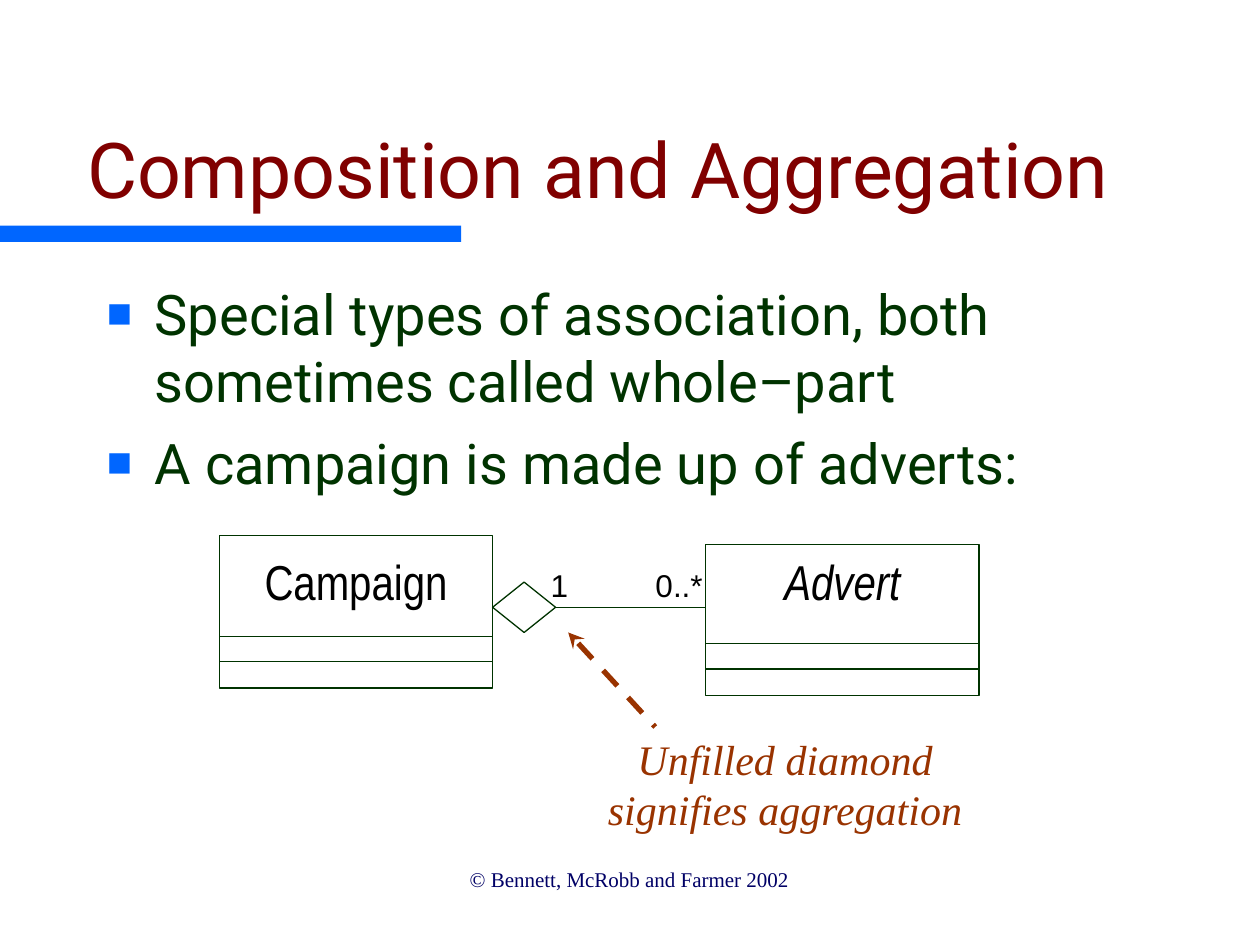
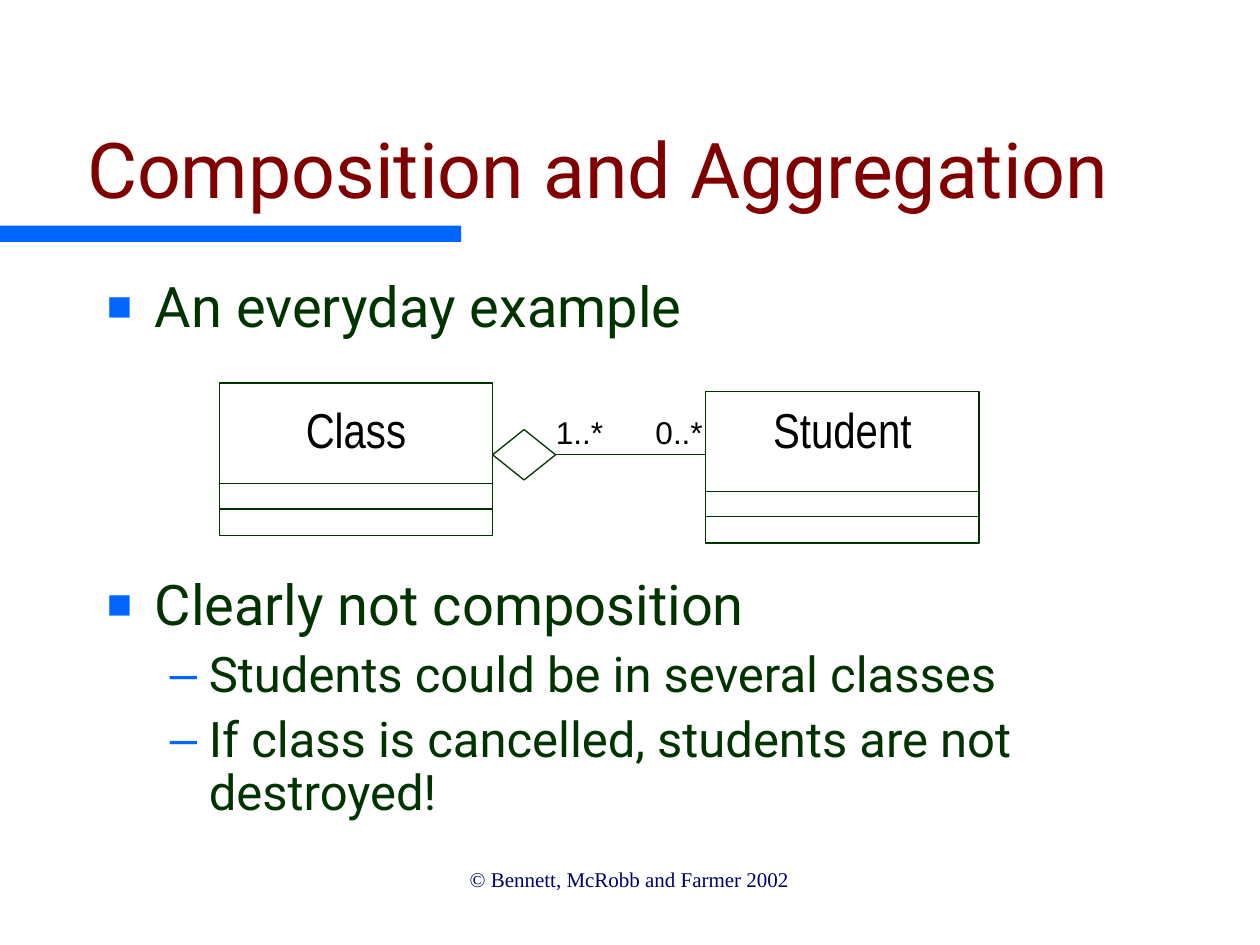
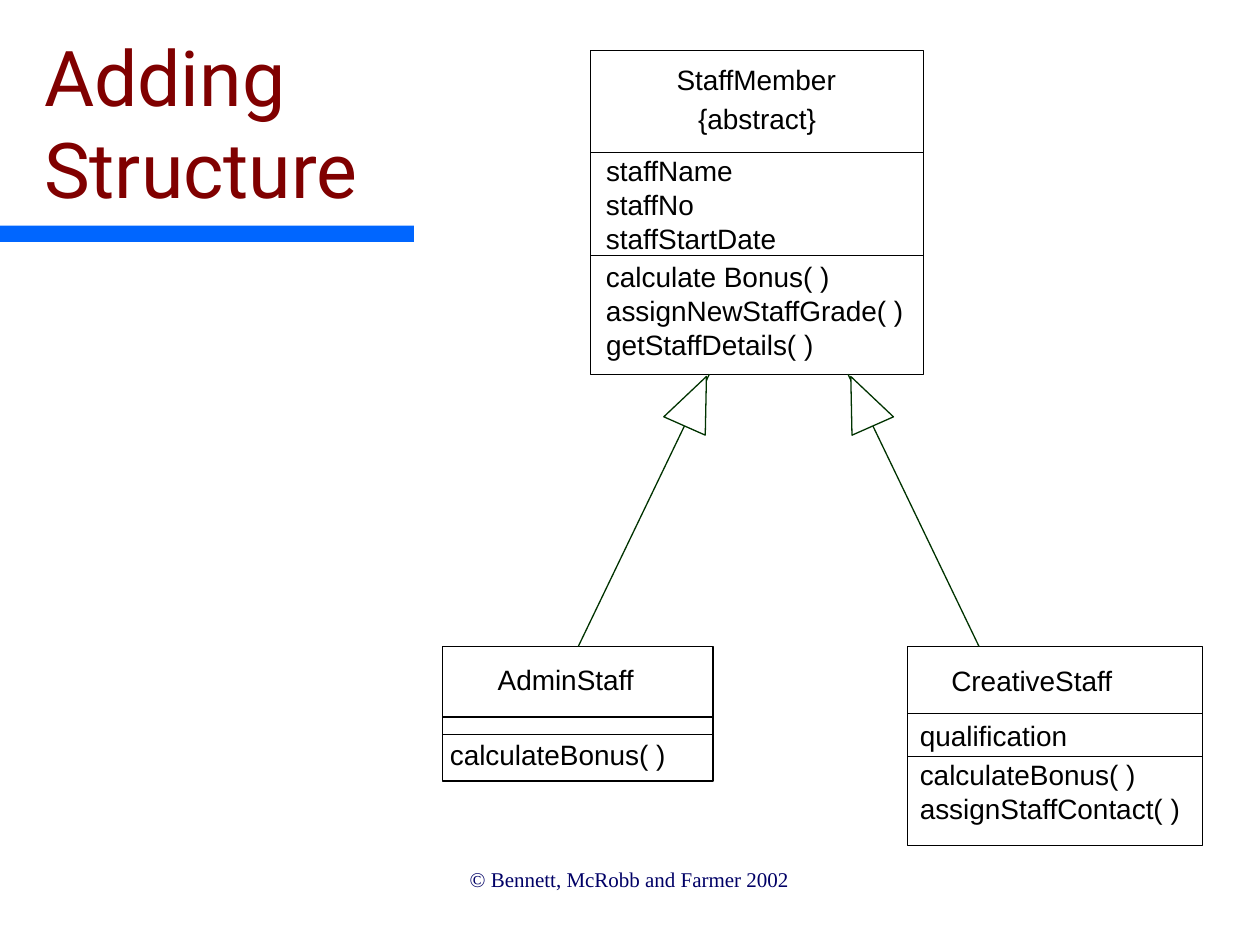
from lxml.etree import SubElement
from pptx import Presentation
from pptx.dml.color import RGBColor
from pptx.enum.dml import MSO_LINE
from pptx.enum.shapes import MSO_CONNECTOR, MSO_SHAPE
from pptx.enum.text import MSO_ANCHOR, MSO_AUTO_SIZE, PP_ALIGN
from pptx.oxml.ns import qn
from pptx.util import Inches, Pt

WHITE = RGBColor(0xFF, 0xFF, 0xFF)
BLACK = RGBColor(0x00, 0x00, 0x00)
BLUE = RGBColor(0x00, 0x66, 0xFF)
NAVY = RGBColor(0x00, 0x00, 0x66)
MAROON = RGBColor(0x80, 0x00, 0x00)
GREEN = RGBColor(0x00, 0x33, 0x00)
RUST = RGBColor(0x99, 0x33, 0x00)

TITLE = {"name": "Roboto", "size": Pt(44), "color": MAROON}
BODY = {"name": "Roboto", "size": Pt(32), "color": GREEN}
SUB = {**BODY, "size": Pt(28)}
FOOTER = {"name": "Times New Roman", "size": Pt(12), "color": NAVY}
NOTE = {"name": "Times New Roman", "size": Pt(24), "color": RUST, "italic": True}
CLASS_NAME = {"name": "Arial Narrow", "size": Pt(28), "color": BLACK}
ABSTRACT_NAME = {**CLASS_NAME, "italic": True}
MULTIPLICITY = {"name": "Arial", "size": Pt(18), "color": BLACK}
MEMBER = {"name": "Arial", "size": Pt(16), "color": BLACK}

LABEL_SLACK = 0.1

BULLETS = [
    {"char": "■", "percent": 75, "left": 0.38, "hang": 0.38, "before": 8, "font": BODY},
    {"char": "–", "percent": 100, "left": 0.81, "hang": 0.31, "before": 7, "font": SUB},
]


def style(font, values):
    for key, value in values.items():
        if key == "color":
            font.color.rgb = value
        else:
            setattr(font, key, value)


def add_box(s, box, shape=MSO_SHAPE.RECTANGLE, fill=None, line=None, width=0.75):
    sp = s.shapes.add_shape(shape, *map(Inches, box))
    sp.shadow.inherit = False
    if fill is None:
        sp.fill.background()
    else:
        sp.fill.solid()
        sp.fill.fore_color.rgb = fill
    if line is None:
        sp.line.fill.background()
    else:
        sp.line.color.rgb = line
        sp.line.width = Pt(width)
    return sp


def add_line(s, start, end, color=GREEN, width=0.75):
    c = s.shapes.add_connector(MSO_CONNECTOR.STRAIGHT, *map(Inches, (*start, *end)))
    c.line.color.rgb = color
    c.line.width = Pt(width)
    SubElement(c.element.spPr, qn("a:effectLst"))
    return c


def add_text(s, box, text, font, align=PP_ALIGN.CENTER, wrap=True):
    tf = s.shapes.add_textbox(*map(Inches, box)).text_frame
    tf.word_wrap = wrap
    p = tf.paragraphs[0]
    p.alignment = align
    r = p.add_run()
    r.text = text
    style(r.font, font)
    return tf


def add_label(s, box, text, font, align=PP_ALIGN.CENTER):
    left, top, width, height = box
    if align == PP_ALIGN.CENTER:
        left -= LABEL_SLACK / 2
    roomy = (left, top, width + LABEL_SLACK, height)
    tf = add_text(s, roomy, text, font, align, wrap=False)
    for side in ("left", "top", "right", "bottom"):
        setattr(tf, f"margin_{side}", 0)
    tf.auto_size = MSO_AUTO_SIZE.NONE


def add_page(prs, title, panel, align=PP_ALIGN.CENTER):
    s = prs.slides.add_slide(prs.slide_layouts[5])
    add_box(s, (0, 1.79, 3.66, 0.13), fill=BLUE)
    tf = add_text(s, (2.58, 6.83, 4.83, 0.5), "© Bennett, McRobb and Farmer 2002", FOOTER)
    tf.paragraphs[0].space_before = Pt(7.5)
    add_box(s, panel, fill=WHITE, line=WHITE, width=1.75)
    sp = s.shapes.title
    sp.left, sp.top, sp.width, sp.height = map(Inches, (0.25, 0.5, 9, 1.25))
    tf = sp.text_frame
    tf.text = title
    tf.auto_size = MSO_AUTO_SIZE.NONE
    tf.vertical_anchor = MSO_ANCHOR.BOTTOM
    p = tf.paragraphs[0]
    p.alignment = align
    for r in p.runs:
        style(r.font, TITLE)
    return s


def add_bullets(s, items, spacing=1.0):
    tf = s.shapes.add_textbox(*map(Inches, (0.75, 2.17, 8.5, 4.5))).text_frame
    tf.word_wrap = True
    for i, (level, text, before) in enumerate(items):
        look = BULLETS[level]
        p = tf.add_paragraph() if i else tf.paragraphs[0]
        p.level = level
        p.line_spacing = spacing
        p.space_before = Pt(before or look["before"])
        r = p.add_run()
        r.text = text
        style(r.font, look["font"])
        pPr = p._p.get_or_add_pPr()
        pPr.set("marL", str(Inches(look["left"])))
        pPr.set("indent", str(-Inches(look["hang"])))
        color = SubElement(pPr, qn("a:buClr"))
        SubElement(color, qn("a:srgbClr"), val=str(BLUE))
        SubElement(pPr, qn("a:buSzPct"), val=str(look["percent"] * 1000))
        SubElement(pPr, qn("a:buFont"), typeface="Arial")
        SubElement(pPr, qn("a:buChar"), char=look["char"])


def add_simple_class(s, box, name, name_top, name_width, font):
    left, top, width, height = box
    add_box(s, box, line=GREEN)
    name_left = left + (width - name_width) / 2
    add_label(s, (name_left, name_top, name_width, 0.47), name, font)
    for rise in (0.41, 0.21):
        y = top + height - rise
        add_line(s, (left, y), (left + width, y))


def add_aggregation(s, left, top, whole, part, whole_count):
    width, part_left, axis = 2.17, left + 3.86, top + 0.57
    add_simple_class(s, (left, top, width, 1.21), whole[0], top + 0.13, *whole[1:])
    add_simple_class(s, (part_left, top + 0.07, width, 1.2), part[0], top + 0.13, *part[1:])
    add_box(s, (left + width, axis - 0.2, 0.5, 0.4), MSO_SHAPE.DIAMOND, line=GREEN)
    add_line(s, (part_left, axis), (left + width + 0.5, axis))
    text, offset, count_width = whole_count
    add_label(s, (left + offset, top + 0.24, count_width, 0.3), text, MULTIPLICITY)
    add_label(s, (part_left - 0.4, top + 0.24, 0.38, 0.3), "0..*", MULTIPLICITY)


def add_member_class(s, box, dividers, sections, width=0.5):
    left, top, box_width, _ = box
    add_box(s, box, line=BLACK, width=width)
    for dy in dividers:
        add_line(s, (left, top + dy), (left + box_width, top + dy), BLACK, width)
    for dx, dy, rows in sections:
        for i, (text, row_width) in enumerate(rows):
            row = (left + dx, top + dy + i * 0.27, row_width, 0.27)
            add_label(s, row, text, MEMBER, PP_ALIGN.LEFT)


def add_generalization(s, parent, child, triangle_left, angle):
    add_line(s, parent, child)
    sp = add_box(s, (triangle_left, parent[1], 0.36, 0.43),
                 MSO_SHAPE.ISOSCELES_TRIANGLE, fill=WHITE, line=GREEN)
    sp.rotation = angle


def add_callout(s, box, text, tip):
    left, top, _, _ = box
    tf = add_text(s, box, text, NOTE)
    tf.auto_size = MSO_AUTO_SIZE.SHAPE_TO_FIT_TEXT
    c = add_line(s, tip, (left + 0.58, top), RUST, 3)
    c.line.dash_style = MSO_LINE.DASH
    SubElement(c.element.spPr.find(qn("a:ln")), qn("a:headEnd"), type="stealth")


def build_aggregation_slide(prs):
    s = add_page(prs, "Composition and Aggregation", (0.75, 4.08, 8.5, 2.58))
    add_bullets(s, [
        (0, "Special types of association, both sometimes called whole–part", None),
        (0, "A campaign is made up of adverts:", None),
    ])
    add_aggregation(s, 1.74, 4.25, ("Campaign", 1.45, CLASS_NAME),
                    ("Advert", 0.92, ABSTRACT_NAME), ("1", 2.63, 0.14))
    add_callout(s, (4.62, 5.77, 3.22, 0.9),
                "Unfilled diamond signifies aggregation", (4.51, 5.02))


def build_example_slide(prs):
    s = add_page(prs, "Composition and Aggregation", (0.75, 2.87, 8.5, 1.65))
    add_bullets(s, [
        (0, "An everyday example", None),
        (0, "Clearly not composition", 135.5),
        (1, "Students could be in several classes", None),
        (1, "If class is cancelled, students are not destroyed!", None),
    ], spacing=0.9)
    add_aggregation(s, 1.74, 3.04, ("Class", 0.8, CLASS_NAME),
                    ("Student", 1.1, CLASS_NAME), ("1..*", 2.67, 0.38))


def build_structure_slide(prs):
    s = add_page(prs, "Adding\vStructure", (3.3, 0.37, 6.32, 6.41), PP_ALIGN.LEFT)
    add_member_class(s, (4.69, 0.4, 2.64, 2.57), (0.81, 1.63), [
        (0.68, 0.1, [("StaffMember", 1.27)]),
        (0.85, 0.41, [("{abstract}", 0.94)]),
        (0.12, 0.82, [("staffName", 1.01), ("staffNo", 0.7), ("staffStartDate", 1.36)]),
        (0.12, 1.66, [("calculate Bonus( )", 1.77), ("assignNewStaffGrade( )", 2.37),
                      ("getStaffDetails( )", 1.65)]),
    ])
    add_member_class(s, (7.2, 5.13, 2.34, 1.58), (0.53, 0.87), [
        (0.35, 0.14, [("CreativeStaff", 1.28)]),
        (0.1, 0.57, [("qualification", 1.17)]),
        (0.1, 0.88, [("calculateBonus( )", 1.71), ("assignStaffContact( )", 2.07)]),
    ])
    add_member_class(s, (3.51, 5.13, 2.15, 1.07), (0.56, 0.7), [
        (0.44, 0.13, [("AdminStaff", 1.09)]),
        (0.06, 0.72, [("calculateBonus( )", 1.71)]),
    ], width=0.75)
    add_generalization(s, (6.73, 2.97), (7.77, 5.13), 6.66, -23.9)
    add_generalization(s, (5.63, 2.97), (4.59, 5.13), 5.34, 23.9)


def main():
    prs = Presentation()
    prs.slide_width, prs.slide_height = Inches(10), Inches(7.5)
    build_aggregation_slide(prs)
    build_example_slide(prs)
    build_structure_slide(prs)
    prs.save("out.pptx")


if __name__ == "__main__":
    main()
